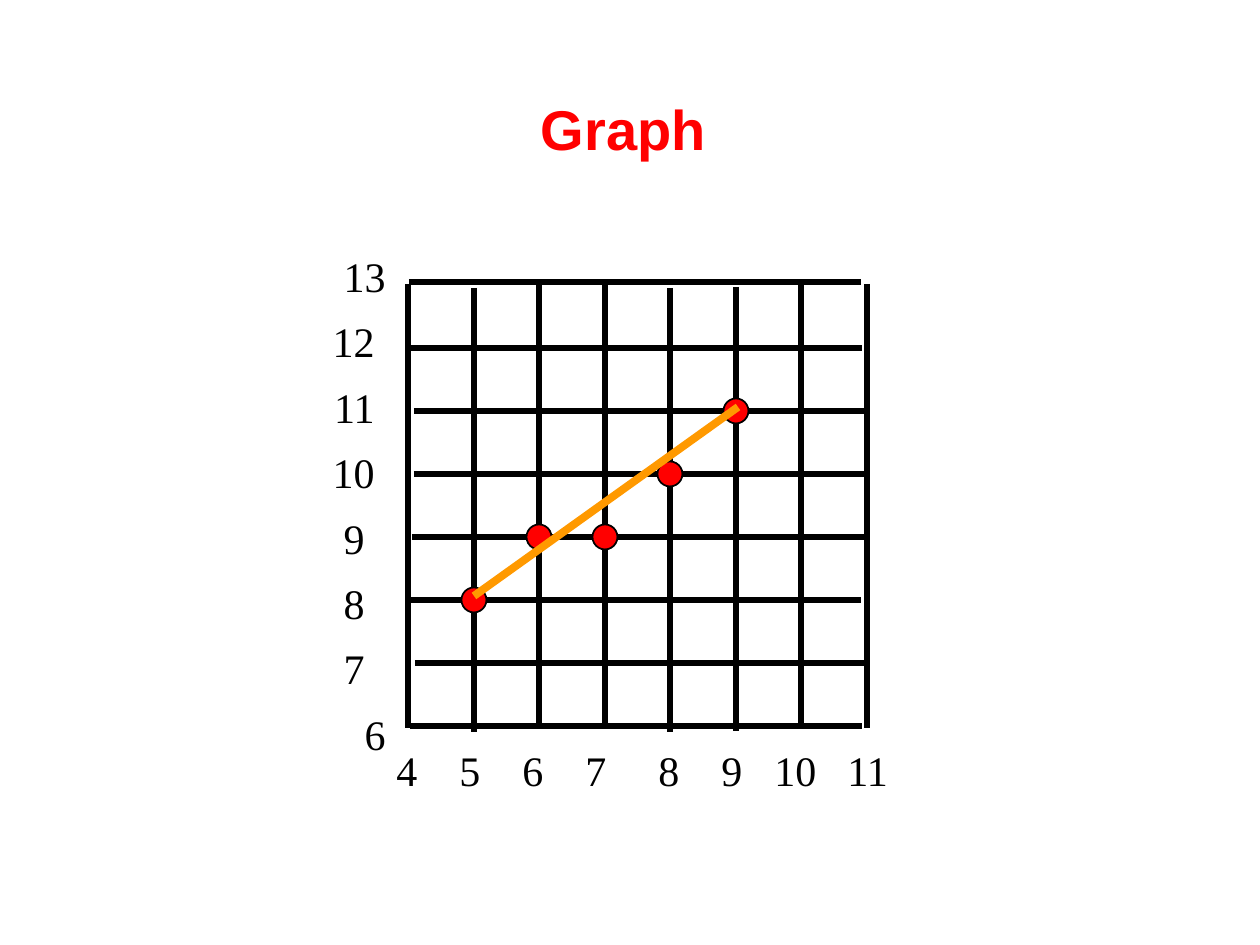
import pptx
import pptx.util
import pptx.dml.color
import pptx.enum.shapes
import pptx.enum.text
import pptx.oxml.xmlchemy
from lxml import etree

# Content
TITLE = "Graph"
# Axis labels: y with right indent, x with left offset in px
ROWS = [("13", 0), ("12", 11), ("11", 11), ("10", 11),
        ("9", 21), ("8", 21), ("7", 21), ("6", 0)]
COLS = [("4", 0), ("5", 63), ("6", 126), ("7", 189),
        ("8", 262), ("9", 325), ("10", 378), ("11", 451)]
DOTS = [(5, 8), (6, 9), (7, 9), (8, 10), (9, 11)]
TREND = (474, 596, 738, 407)

# Grid lines: top of each column line, left of each row line
TOPS = [284, 288, 283, 285, 288, 287, 285, 284]
LEFTS = [410, 415, 409, 412, 414, 414, 410, 409]
HIGH, WIDE, DOT = 444, 452, 25
XS = [round(408.2 + 65.5 * i) for i in range(8)]
YS = [726 - 63 * i for i in range(7)] + [282]
X_MIN, Y_MIN = 4, 6

HEX = {"red": "FF0000", "ink": "000000", "gold": "FF9900"}
SANS, SERIF = "Arial", "Times New Roman"
ALIGN = pptx.enum.text.PP_ALIGN


def px(n):
    return pptx.util.Emu(round(n * 914400 / 126))


def color(name):
    return pptx.dml.color.RGBColor.from_string(HEX[name])


def style(para, face, size, ink, bold=False):
    for run in para.runs:
        font = run.font
        font.name, font.size, font.bold = face, pptx.util.Pt(size), bold
        font.color.rgb = color(ink)


def box(left, top, width, height, text):
    frame = slide.shapes.add_textbox(*map(px, (left, top, width, height))).text_frame
    frame.word_wrap = True
    frame.vertical_anchor = pptx.enum.text.MSO_ANCHOR.MIDDLE
    frame.text = text
    return frame


def line(x1, y1, x2, y2, ink, weight):
    link = slide.shapes.add_connector(
        pptx.enum.shapes.MSO_CONNECTOR.STRAIGHT, *map(px, (x1, y1, x2, y2)))
    link.line.color.rgb = color(ink)
    link.line.width = pptx.util.Pt(weight)
    props = link._element.spPr
    etree.SubElement(props, pptx.oxml.ns.qn("a:effectLst"))


deck = pptx.Presentation()
deck.slide_width, deck.slide_height = px(1260), px(945)
slide = deck.slides.add_slide(deck.slide_layouts[6])

# Title
para = box(88, 53, 1071, 150, TITLE).paragraphs[0]
para.alignment = ALIGN.CENTER
style(para, SANS, 32, "red", True)

# Y labels
frame = box(318, 198, 80, 598, "\n".join(text for text, gap in ROWS))
for para, (text, gap) in zip(frame.paragraphs, ROWS):
    para.alignment = ALIGN.RIGHT
    para.line_spacing = pptx.util.Pt(37.4)
    para._p.get_or_add_pPr().set("marR", str(px(gap)))
    style(para, SERIF, 24, "ink")

# X labels on tab stops
para = box(384, 738, 530, 63, "\t".join(text for text, stop in COLS)).paragraphs[0]
tabs = etree.SubElement(para._p.get_or_add_pPr(), pptx.oxml.ns.qn("a:tabLst"))
for text, stop in COLS[1:]:
    etree.SubElement(tabs, pptx.oxml.ns.qn("a:tab"), pos=str(px(stop)), algn="l")
style(para, SERIF, 24, "ink")

# Grid
for x, top in zip(XS, TOPS):
    line(x, top, x, top + HIGH, "ink", 3)
for y, left in zip(YS, LEFTS):
    line(left, y, left + WIDE, y, "ink", 3)

# Points
for x, y in DOTS:
    dot = slide.shapes.add_shape(
        pptx.enum.shapes.MSO_SHAPE.OVAL, px(XS[x - X_MIN] - DOT / 2),
        px(YS[y - Y_MIN] - DOT / 2), px(DOT), px(DOT))
    dot.shadow.inherit = False
    dot.fill.solid()
    dot.fill.fore_color.rgb = color("red")
    dot.line.color.rgb = color("ink")
    dot.line.width = pptx.util.Pt(1)

# Trend line
line(*TREND, "gold", 4.5)

deck.save("out.pptx")
